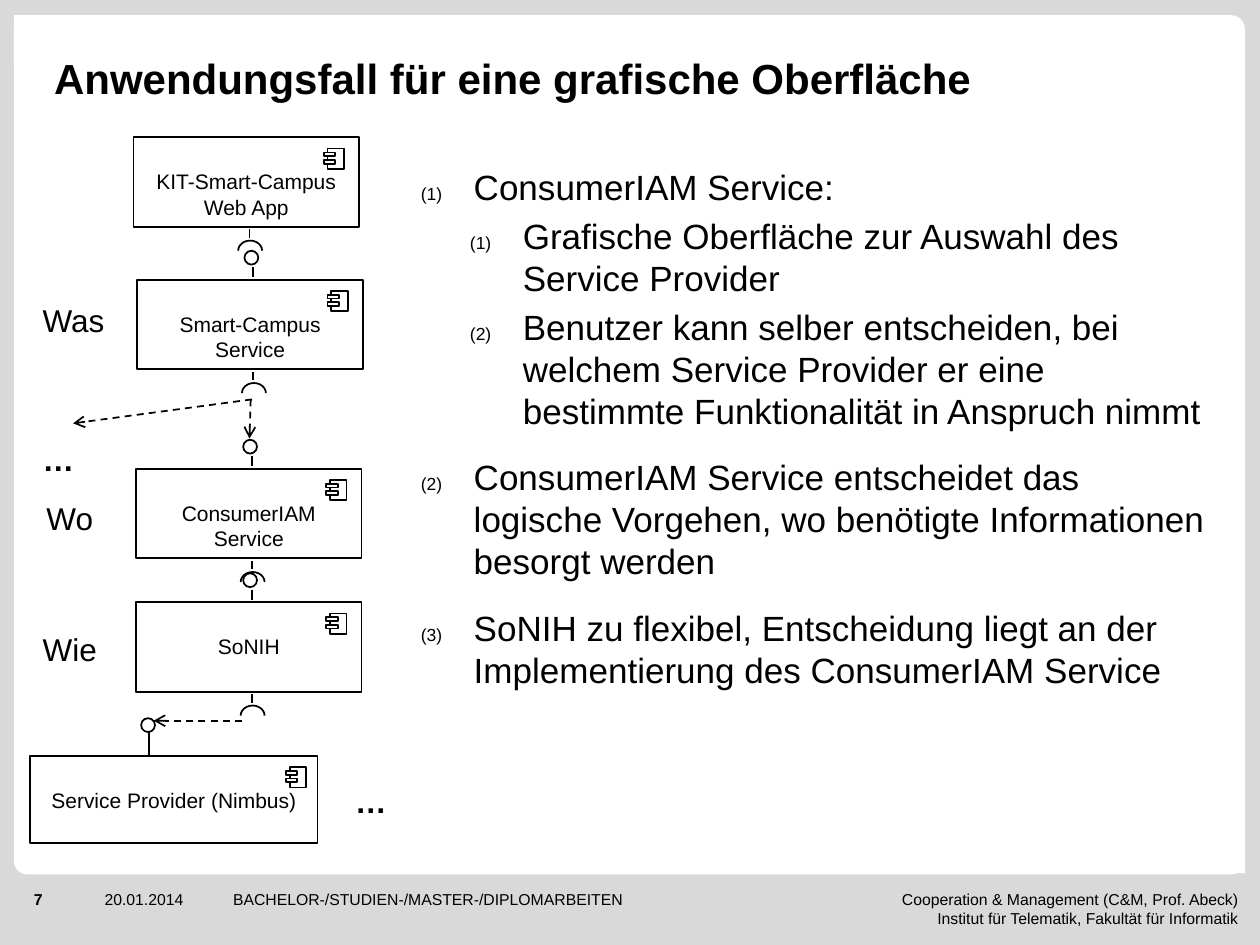
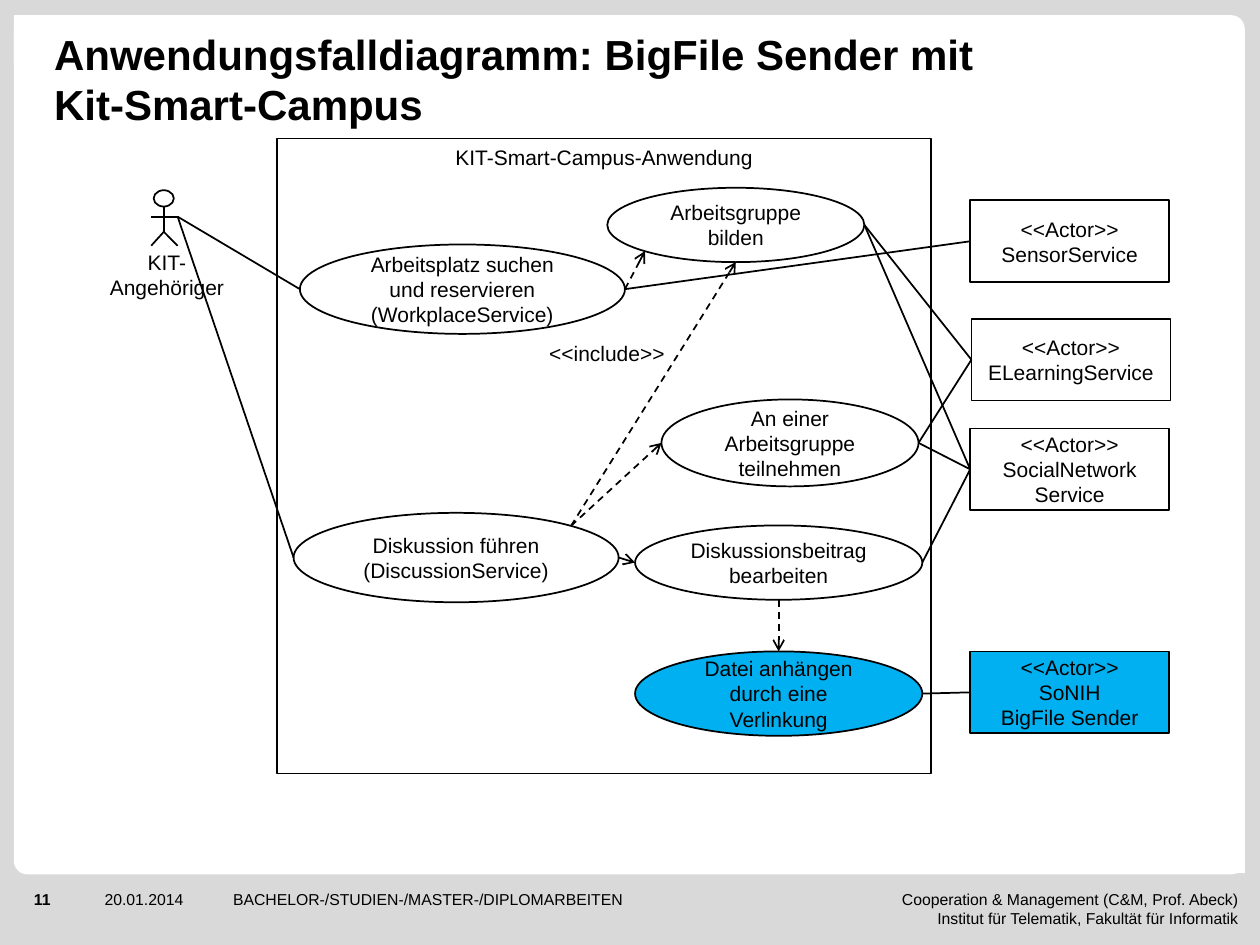
"""Builds two slides on a smart campus application: component chain and use case diagram."""
from dataclasses import dataclass
from math import cos, radians, sin

from lxml import etree
from pptx import Presentation
from pptx import util as u
from pptx.dml import color
from pptx.enum import dml, shapes, text
from pptx.oxml import ns

COLORS = {"band": "D9D9D9", "paper": "FFFFFF", "ink": "000000", "accent": "00B0F0"}
FONT = "Arial"
DATE = "20.01.2014"
TOPIC = "BACHELOR-/STUDIEN-/MASTER-/DIPLOMARBEITEN"
INSTITUTE = ("Cooperation & Management (C&M, Prof. Abeck) \n"
             "Institut für Telematik, Fakultät für Informatik ")
KIND = shapes.MSO_SHAPE
ALIGN = text.PP_ALIGN
ANCHOR = text.MSO_ANCHOR
E, SE, S, SW, W, N, NE = 0, 45, 90, 135, 180, 270, 315
LEFT_SIDE = 1
Point = tuple[float, float]


@dataclass
class Component:
    name: str
    x: float
    y: float
    w: float = 1.79
    h: float = 0.71
    ball: bool = False
    socket: bool = False
    icon_gap: float = 0.25


@dataclass
class UseCase:
    name: str
    x: float
    y: float
    w: float
    h: float
    fill: str = "paper"

    def rim(self, angle: int) -> Point:
        """Return the point of the outline at a clockwise angle from the right."""
        a = radians(angle)
        return (self.x + self.w / 2 * (1 + cos(a)), self.y + self.h / 2 * (1 + sin(a)))


@dataclass
class Actor:
    name: str
    y: float
    fill: str | None = None
    x: float = 7.7
    w: float = 1.58
    h: float = 0.65


@dataclass
class Item:
    text: str
    level: int = 0


COMPONENTS = [
    Component("Service Provider (Nimbus)", 0.24, 6, 2.28, 0.69, icon_gap=0.22),
    Component("ConsumerIAM\nService", 1.08, 3.72, ball=True, socket=True),
    Component("SoNIH", 1.08, 4.78, ball=True, socket=True),
    Component("KIT-Smart-Campus\nWeb App", 1.06, 1.09, socket=True),
    Component("Smart-Campus\nService", 1.09, 2.22, ball=True, socket=True),
]
ITEMS = [
    Item("ConsumerIAM Service:"),
    Item("Grafische Oberfläche zur Auswahl des Service Provider", 1),
    Item("Benutzer kann selber entscheiden, bei welchem Service Provider er eine "
         "bestimmte Funktionalität in Anspruch nimmt", 1),
    Item("ConsumerIAM Service entscheidet das logische Vorgehen, wo benötigte "
         "Informationen besorgt werden"),
    Item("SoNIH zu flexibel, Entscheidung liegt an der Implementierung des "
         "ConsumerIAM Service"),
]
USE_CASES = {
    "search": UseCase("Arbeitsplatz suchen und reservieren\n(WorkplaceService)",
                      2.38, 1.94, 2.58, 0.71),
    "join": UseCase("An einer Arbeitsgruppe teilnehmen", 5.25, 3.17, 2.04, 0.69),
    "form": UseCase("Arbeitsgruppe\nbilden", 4.82, 1.49, 2.04, 0.59),
    "discuss": UseCase("Diskussion führen\n(DiscussionService)", 2.33, 4.07, 2.58, 0.71),
    "edit": UseCase("Diskussionsbeitrag\nbearbeiten", 5.04, 4.17, 2.28, 0.59),
    "attach": UseCase("Datei anhängen durch eine Verlinkung", 5.04, 5.17, 2.28, 0.67, "accent"),
}
ACTORS = {
    "sensor": Actor("SensorService", 1.59),
    "learning": Actor("ELearningService", 2.53, x=7.71),
    "social": Actor("SocialNetwork\nService", 3.4),
    "sender": Actor("SoNIH\nBigFile Sender", 5.17, "accent"),
}
INCLUDES = [("search", E, "form", SW), ("discuss", NE, "join", W), ("discuss", NE, "form", S),
            ("discuss", E, "edit", W), ("edit", S, "attach", N)]
USES = [("search", "sensor"), ("form", "social"), ("join", "social"), ("edit", "social"),
        ("form", "learning"), ("join", "learning"), ("attach", "sender")]


def box(x: float, y: float, w: float, h: float) -> list[int]:
    """Convert a box in inches to lengths."""
    return [u.Inches(v) for v in (x, y, w, h)]


def rgb(name: str) -> color.RGBColor:
    """Look up a colour."""
    return color.RGBColor.from_string(COLORS[name])


def write(tf, content: str, *, size: float = 12, bold: bool = False, align=ALIGN.LEFT,
          anchor=ANCHOR.TOP, wrap: bool = True, inset: float | None = None,
          top: float | None = None) -> None:
    """Fill a text frame, one paragraph a line."""
    tf.text = content
    tf.word_wrap = wrap
    tf.vertical_anchor = anchor
    if inset is not None:
        tf.margin_left = tf.margin_right = tf.margin_top = tf.margin_bottom = u.Inches(inset)
    if top is not None:
        tf.margin_top = u.Inches(top)
    for p in tf.paragraphs:
        p.alignment = align
        for r in p.runs:
            r.font.name, r.font.size, r.font.bold = FONT, u.Pt(size), bold
            r.font.color.rgb = rgb("ink")


def add_label(s, content: str, x: float, y: float, w: float, h: float, **fmt):
    """Add a text box."""
    sp = s.shapes.add_textbox(*box(x, y, w, h))
    write(sp.text_frame, content, **fmt)
    return sp


def add_shape(s, kind, x: float, y: float, w: float, h: float, *,
              fill: str | None = None, outlined: bool = True):
    """Add a preset shape with a plain look."""
    sp = s.shapes.add_shape(kind, *box(x, y, w, h))
    sp.shadow.inherit = False
    if fill:
        sp.fill.solid()
        sp.fill.fore_color.rgb = rgb(fill)
    else:
        sp.fill.background()
    if outlined:
        sp.line.color.rgb = rgb("ink")
        sp.line.width = u.Pt(1)
    else:
        sp.line.fill.background()
    return sp


def add_line(s, start: Point, end: Point, *, arrow: bool = False):
    """Add a solid line, or a dashed arrow."""
    c = s.shapes.add_connector(shapes.MSO_CONNECTOR.STRAIGHT,
                               *[u.Inches(v) for v in (*start, *end)])
    c.line.color.rgb = rgb("ink")
    c.line.width = u.Pt(1)
    if arrow:
        c.line.dash_style = dml.MSO_LINE.DASH
        etree.SubElement(c.line._get_or_add_ln(), ns.qn("a:tailEnd"), type="arrow")
    etree.SubElement(c._element.spPr, ns.qn("a:effectLst"))
    return c


def add_ball(s, x: float, y: float) -> None:
    """Draw the ball of a provided interface."""
    add_shape(s, KIND.OVAL, x, y, 0.11, 0.11, fill="paper")


def add_component(s, c: Component) -> None:
    """Draw a component with its icon and interfaces."""
    sp = add_shape(s, KIND.RECTANGLE, c.x, c.y, c.w, c.h)
    write(sp.text_frame, c.name, align=ALIGN.CENTER, top=0.25)
    icon_x = c.x + c.w - c.icon_gap
    add_shape(s, KIND.RECTANGLE, icon_x, c.y + 0.09, 0.13, 0.16, fill="paper")
    for dy in (0.18, 0.12):
        add_shape(s, KIND.RECTANGLE, icon_x - 0.03, c.y + dy, 0.09, 0.03, fill="paper")
    stem, bottom = c.x + 0.92, c.y + c.h
    if c.ball:
        add_ball(s, stem - 0.07, c.y - 0.23)
        add_line(s, (stem, c.y - 0.1), (stem, c.y - 0.02))
    if c.socket:
        add_line(s, (stem, bottom + 0.09), (stem, bottom + 0.02))
        arc = add_shape(s, KIND.ARC, stem - 0.09, bottom + 0.11, 0.19, 0.16)
        arc.adjustments[0], arc.adjustments[1] = 108, 0


def add_items(s) -> None:
    """Write the numbered list."""
    sp = add_label(s, "\n".join(i.text for i in ITEMS), 3.34, 1.31, 6.23, 4.31, size=20, inset=0)
    for p, item in zip(sp.text_frame.paragraphs, ITEMS):
        p.level = item.level
        p.space_before = u.Pt(4 if item.level else 14)
        pPr = p._p.get_or_add_pPr()
        pPr.set("marL", str(u.Inches(0.42 + 0.39 * item.level)))
        pPr.set("indent", str(u.Inches(-0.42)))
        etree.SubElement(pPr, ns.qn("a:buSzPct"), val="50000")
        etree.SubElement(pPr, ns.qn("a:buFont"), typeface=FONT)
        etree.SubElement(pPr, ns.qn("a:buAutoNum"), type="arabicParenBoth")


def add_slide(prs, number: int, title: str, y: float, h: float):
    """Add a slide with paper, footer and title."""
    s = prs.slides.add_slide(prs.slide_layouts[6])
    s.background.fill.solid()
    s.background.fill.fore_color.rgb = rgb("band")
    paper = add_shape(s, KIND.ROUNDED_RECTANGLE, 0.11, 0.12, 9.77, 6.82,
                      fill="paper", outlined=False)
    paper.adjustments[0] = 0.016
    for x, corner_y in ((0.11, 0.12), (9.49, 6.54)):
        add_shape(s, KIND.RECTANGLE, x, corner_y, 0.39, 0.39, fill="paper", outlined=False)
    add_label(s, INSTITUTE, 6.57, 7.06, 3.29, 0.39, size=9, inset=0, align=ALIGN.RIGHT)
    for content, x, w, bold in ((str(number), 0.27, 0.36, True), (DATE, 0.83, 0.89, False),
                                (TOPIC, 1.85, 4.57, False)):
        add_label(s, content, x, 7.06, w, 0.24, size=9, inset=0, bold=bold)
    add_label(s, title, 0.43, y, 7.56, h, size=24, bold=True, inset=0, anchor=ANCHOR.MIDDLE)
    return s


def build_components(prs) -> None:
    """Build the component chain slide."""
    s = add_slide(prs, 7, "Anwendungsfall für eine grafische Oberfläche", 0.42, 0.4)
    add_items(s)
    for c in COMPONENTS:
        add_component(s, c)
    add_ball(s, 1.12, 5.7)
    add_line(s, (1.18, 5.81), (1.18, 6))
    for start, end in (((1.92, 5.72), (1.22, 5.72)), ((2, 3.17), (0.58, 3.36)),
                       ((1.99, 3.17), (1.98, 3.48))):
        add_line(s, start, end, arrow=True)
    for content, x, y, w in (("Was", 0.24, 2.34, 0.76), ("Wo", 0.27, 3.91, 0.58),
                             ("Wie", 0.24, 4.95, 0.64), ("…", 0.24, 3.44, 0.45),
                             ("…", 2.72, 6.16, 0.45)):
        add_label(s, content, x, y, w, 0.4, size=18, bold=content == "…", wrap=False)


def add_person(s, x: float, y: float) -> Point:
    """Draw the stick figure around its neck and return its right hand."""
    hand, hip = (x + 0.11, y + 0.08), (x, y + 0.2)
    add_label(s, "KIT-\nAngehöriger", x - 0.53, y + 0.29, 1.11, 0.51,
              align=ALIGN.CENTER, wrap=False)
    for start, end in (((x, y), hip), (hip, (x + 0.11, y + 0.31)),
                       (hip, (x - 0.1, y + 0.31)), ((x - 0.1, y + 0.08), hand)):
        add_line(s, start, end)
    add_shape(s, KIND.OVAL, x - 0.08, y - 0.13, 0.16, 0.13, fill="paper")
    return hand


def build_use_cases(prs) -> None:
    """Build the use case diagram slide."""
    s = add_slide(prs, 11, "Anwendungsfalldiagramm: BigFile Sender mit Kit-Smart-Campus",
                  0.22, 0.81)
    frame = add_shape(s, KIND.RECTANGLE, 2.2, 1.1, 5.19, 5.04)
    write(frame.text_frame, "KIT-Smart-Campus-Anwendung", align=ALIGN.CENTER)
    add_label(s, "<<include>>", 4.26, 2.65, 1.12, 0.3, wrap=False)
    hand = add_person(s, 1.3, 1.64)
    for case in USE_CASES.values():
        sp = add_shape(s, KIND.OVAL, case.x, case.y, case.w, case.h, fill=case.fill)
        write(sp.text_frame, case.name, align=ALIGN.CENTER, anchor=ANCHOR.MIDDLE)
    boxes = {}
    for key, a in ACTORS.items():
        boxes[key] = add_shape(s, KIND.RECTANGLE, a.x, a.y, a.w, a.h, fill=a.fill)
        write(boxes[key].text_frame, f"<<Actor>>\n{a.name}", align=ALIGN.CENTER,
              anchor=ANCHOR.MIDDLE)
    for key in ("search", "discuss"):
        add_line(s, hand, USE_CASES[key].rim(W))
    for source, out, target, into in INCLUDES:
        add_line(s, USE_CASES[source].rim(out), USE_CASES[target].rim(into), arrow=True)
    for key, actor in USES:
        a = ACTORS[actor]
        c = add_line(s, USE_CASES[key].rim(E), (a.x, a.y + a.h / 2))
        c.end_connect(boxes[actor], LEFT_SIDE)


def main() -> None:
    """Build and save the presentation."""
    prs = Presentation()
    prs.slide_width, prs.slide_height = u.Inches(10), u.Inches(7.5)
    build_components(prs)
    build_use_cases(prs)
    prs.save("out.pptx")


if __name__ == "__main__":
    main()
